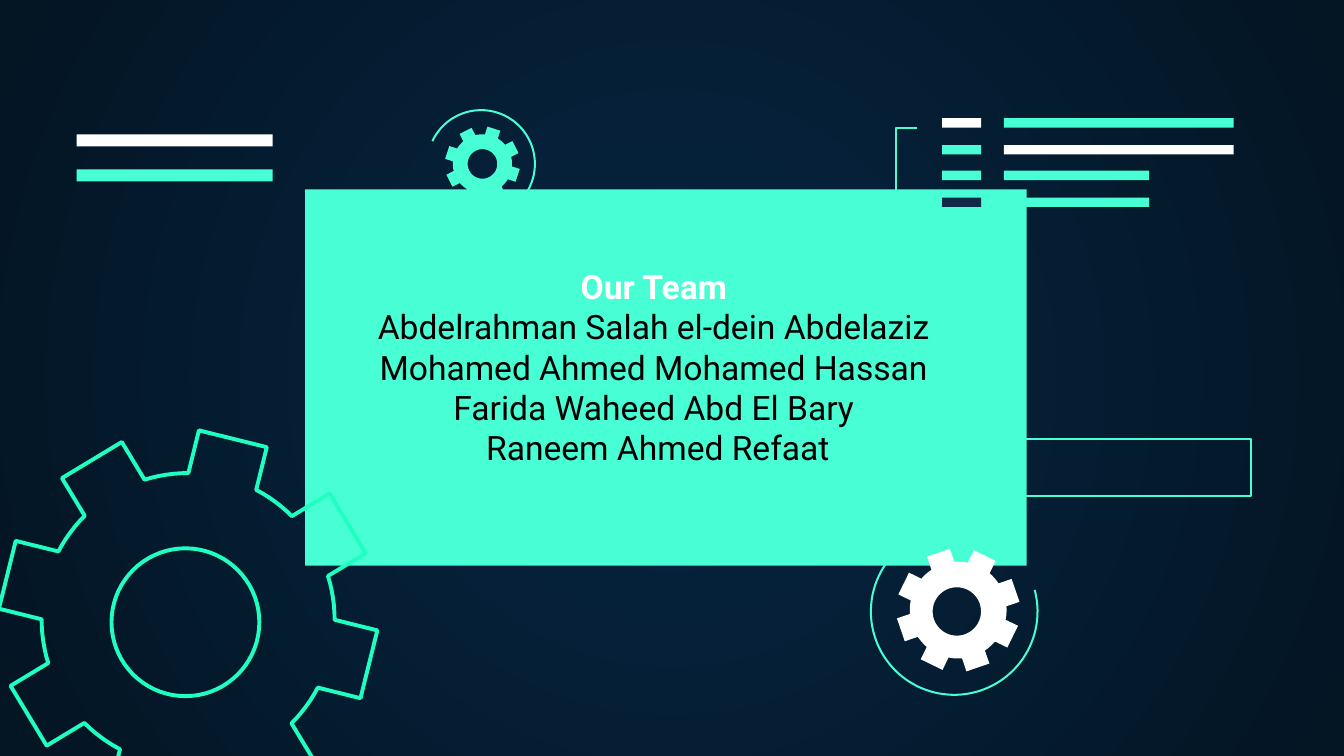
from math import asin, cos, pi, radians, sin

from lxml import etree
from pptx import Presentation
from pptx.dml.color import RGBColor
from pptx.enum.shapes import MSO_SHAPE
from pptx.enum.text import MSO_ANCHOR, PP_ALIGN
from pptx.oxml.ns import qn
from pptx.util import Inches, Pt

RECTANGLE = MSO_SHAPE.RECTANGLE
CENTER = PP_ALIGN.CENTER
TOP = MSO_ANCHOR.TOP

MINT = RGBColor(0x48, 0xFF, 0xD5)
BRIGHT_MINT = RGBColor(0x1E, 0xFF, 0xC1)
WHITE = RGBColor(0xFF, 0xFF, 0xFF)
BLACK = RGBColor(0x00, 0x00, 0x00)
NAVY = RGBColor(0x0E, 0x2A, 0x47)
GLOW = RGBColor(0x05, 0x26, 0x43)
EDGE = RGBColor(0x04, 0x15, 0x23)

FONT = "Roboto"
THIN = 1.09
TEETH = 8
TEAM = [
    "Abdelrahman Salah el-dein Abdelaziz",
    "Mohamed Ahmed Mohamed Hassan",
    "Farida Waheed Abd El Bary",
    " Raneem Ahmed Refaat",
]


def set_background(page):
    fill = page.background.fill
    fill.gradient()
    for stop, color in zip(fill.gradient_stops, (GLOW, EDGE)):
        stop.color.rgb = color
    # Turn the linear gradient into a radial one
    gradient = next(page.element.iter(qn("a:gradFill")))
    gradient.remove(gradient.find(qn("a:lin")))
    circle = etree.SubElement(gradient, qn("a:path"), {"path": "circle"})
    etree.SubElement(circle, qn("a:fillToRect"), dict.fromkeys("ltrb", "50000"))


def paint(shape, fill=None, line=None, width=THIN):
    shape.shadow.inherit = False
    if fill is None:
        shape.fill.background()
    else:
        shape.fill.solid()
        shape.fill.fore_color.rgb = fill
    if line is None:
        shape.line.fill.background()
    else:
        shape.line.color.rgb = line
        shape.line.width = Pt(width)


def add_bar(page, left, top, width, height, **style):
    bar = page.shapes.add_shape(
        RECTANGLE, Inches(left), Inches(top), Inches(width), Inches(height))
    paint(bar, **style)


def add_outline(page, contours, closed, **style):
    """Draw one freeform from contours given as points in inches."""
    contours = [[(Inches(x), Inches(y)) for x, y in points] for points in contours]
    builder = page.shapes.build_freeform(*contours[0][0])
    for index, points in enumerate(contours):
        if index:
            builder.move_to(*points[0])
        builder.add_line_segments(points[1:], close=closed)
    paint(builder.convert_to_shape(), **style)


def arc_points(center, radius, start, end, steps):
    """Points along an arc, with angles in radians, clockwise from the right."""
    angles = [start + (end - start) * step / steps for step in range(steps + 1)]
    return [(center[0] + radius * cos(angle), center[1] + radius * sin(angle))
            for angle in angles]


def add_arc(page, center, radius, start, end):
    points = arc_points(center, radius, radians(start), radians(end), 90)
    add_outline(page, [points], False, line=MINT)


def add_gear(page, center, tip, root, half_tooth, turn, hole_center, hole, **style):
    """Draw a gear with parallel-sided teeth and a round hole."""
    tip_angle, root_angle = asin(half_tooth / tip), asin(half_tooth / root)
    pitch = 2 * pi / TEETH
    rim = []
    for tooth in range(TEETH):
        middle = radians(turn) + tooth * pitch
        rim += arc_points(center, tip, middle - tip_angle, middle + tip_angle, 1)
        rim += arc_points(center, root, middle + root_angle,
                          middle + pitch - root_angle, 6)
    bore = arc_points(hole_center, hole, 2 * pi, 0, 72)[:-1]
    add_outline(page, [rim, bore], True, **style)


def add_team(page):
    box = page.shapes.add_textbox(
        Inches(2.48), Inches(1.88), Inches(4.77), Inches(2.13))
    frame = box.text_frame
    frame.word_wrap = True
    frame.vertical_anchor = TOP
    frame.margin_left = frame.margin_right = Inches(0.1)
    frame.margin_top = frame.margin_bottom = Inches(0.1)
    frame.text = "\n".join(["Our Team"] + TEAM)
    for index, para in enumerate(frame.paragraphs):
        para.alignment = CENTER
        para.font.name = FONT
        para.font.size = Pt(18)
        para.font.bold = index == 0
        para.font.color.rgb = BLACK if index else WHITE


def main():
    # Widescreen slide, 16 to 9
    deck = Presentation()
    deck.slide_width = Inches(10)
    deck.slide_height = Inches(10) * 9 // 16
    page = deck.slides.add_slide(deck.slide_layouts[6])
    set_background(page)

    # Central panel
    add_bar(page, 2.27, 1.41, 5.37, 2.8, fill=MINT)

    # Arcs and gears
    add_arc(page, (3.58, 1.22), 0.4, 205, 455)
    add_arc(page, (7.1, 4.55), 0.62, -15, 233.5)
    add_gear(page, (1.4, 4.61), 1.41, 1.09, 0.26, 13.9, (1.38, 4.63), 0.55,
             line=BRIGHT_MINT, width=2.1)
    add_gear(page, (7.13, 4.54), 0.46, 0.36, 0.09, 26, (7.12, 4.55), 0.18, fill=WHITE)
    add_gear(page, (3.59, 1.22), 0.28, 0.22, 0.05, 18, (3.59, 1.22), 0.11, fill=MINT)

    # List of bars at the top right
    rows = [
        (0.88, WHITE, MINT, 1.71),
        (1.08, MINT, WHITE, 1.71),
        (1.27, MINT, MINT, 1.08),
        (1.47, NAVY, MINT, 1.08),
    ]
    for top, marker_color, bar_color, width in rows:
        add_bar(page, 7.01, top, 0.29, 0.07, fill=marker_color)
        add_bar(page, 7.47, top, width, 0.07, fill=bar_color)

    # Bracket beside the list
    bracket = [(6.83, 1.56), (6.67, 1.56), (6.67, 0.95), (6.82, 0.95)]
    add_outline(page, [bracket], False, line=MINT)

    # Pair of bars at the top left
    for top, color in ((1, WHITE), (1.26, MINT)):
        add_bar(page, 0.57, top, 1.46, 0.09, fill=color)

    # Outlined box at the right
    add_bar(page, 7.2, 3.27, 2.11, 0.42, line=MINT)

    add_team(page)
    deck.save("out.pptx")


if __name__ == "__main__":
    main()
